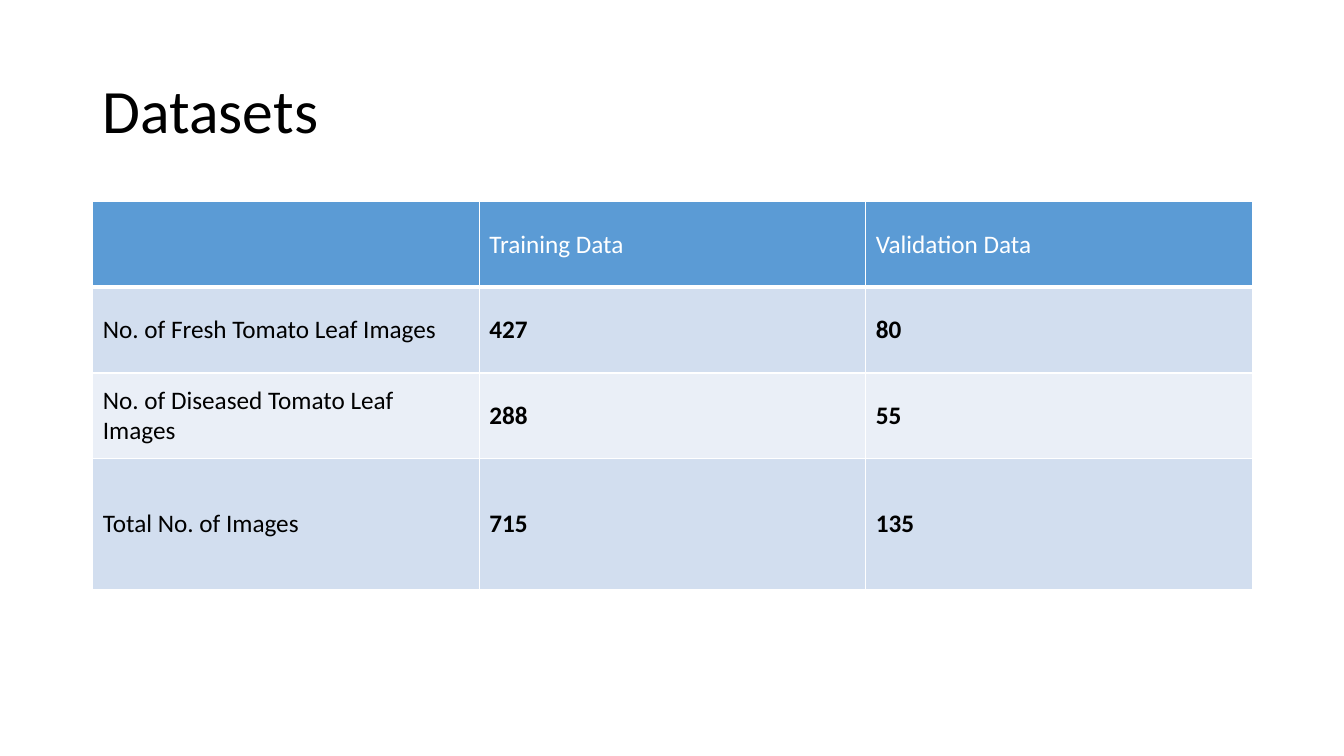
from dataclasses import dataclass

from lxml import etree
from pptx import Presentation
from pptx import util as u
from pptx.dml.color import RGBColor
from pptx.enum import text
from pptx.oxml import ns


@dataclass(frozen=True)
class Theme:
    font: str = "Calibri"
    title_size: int = 44
    body_size: int = 18
    ink: str = "000000"
    white: str = "FFFFFF"
    header: str = "5B9BD5"
    bands: tuple = ("D2DEEF", "EAEFF7")
    thin_line: int = 1
    header_line: int = 3


THEME = Theme()

ROWS = [
    ("", "Training Data", "Validation Data"),
    ("No. of Fresh Tomato Leaf Images", "427", "80"),
    ("No. of Diseased Tomato Leaf Images", "288", "55"),
    ("Total No. of Images", "715", "135"),
]
ROW_HEIGHTS = (0.85, 0.85, 0.85, 1.3)


def style_text(paragraph, size, color, bold=False):
    for run in paragraph.runs:
        run.font.name = THEME.font
        run.font.size = u.Pt(size)
        run.font.bold = bold
        run.font.color.rgb = RGBColor.from_string(color)


def add_title(slide, title, left, top, width, height):
    box = slide.shapes.add_textbox(*map(u.Inches, (left, top, width, height)))
    frame = box.text_frame
    frame.word_wrap = True
    frame.vertical_anchor = text.MSO_ANCHOR.MIDDLE
    frame.text = title
    paragraph = frame.paragraphs[0]
    paragraph.line_spacing = 0.9
    style_text(paragraph, THEME.title_size, THEME.ink)


def set_borders(cell, widths):
    """Draw white borders; widths maps a side (L, R, T, B) to points."""
    properties = cell._tc.get_or_add_tcPr()
    for side, points in widths.items():
        line = etree.SubElement(properties, ns.qn(f"a:ln{side}"), w=str(u.Pt(points)))
        fill = etree.SubElement(line, ns.qn("a:solidFill"))
        etree.SubElement(fill, ns.qn("a:srgbClr"), val=THEME.white)


def fill_cell(cell, value, row, column):
    is_header = row == 0
    thin, thick = THEME.thin_line, THEME.header_line
    set_borders(cell, {"L": thin, "R": thin,
                       "T": thick if row == 1 else thin,
                       "B": thick if is_header else thin})
    background = THEME.header if is_header else THEME.bands[(row - 1) % 2]
    cell.fill.solid()
    cell.fill.fore_color.rgb = RGBColor.from_string(background)
    cell.vertical_anchor = text.MSO_ANCHOR.MIDDLE
    cell.text = value
    style_text(cell.text_frame.paragraphs[0], THEME.body_size,
               THEME.white if is_header else THEME.ink,
               bold=not is_header and column > 0)


def add_dataset_table(slide, left, top, width):
    frame = slide.shapes.add_table(
        len(ROWS), len(ROWS[0]),
        *map(u.Inches, (left, top, width, sum(ROW_HEIGHTS))))
    table = frame.table
    for row, (values, height) in enumerate(zip(ROWS, ROW_HEIGHTS)):
        table.rows[row].height = u.Inches(height)
        for column, value in enumerate(values):
            fill_cell(table.cell(row, column), value, row, column)


def main():
    presentation = Presentation()
    presentation.slide_width = u.Inches(13.33)
    presentation.slide_height = u.Inches(7.5)
    slide = presentation.slides.add_slide(presentation.slide_layouts[6])
    left, width = 0.92, 11.5
    add_title(slide, "Datasets", left, 0.4, width, 1.45)
    add_dataset_table(slide, left, 2, width)
    presentation.save("out.pptx")


if __name__ == "__main__":
    main()
